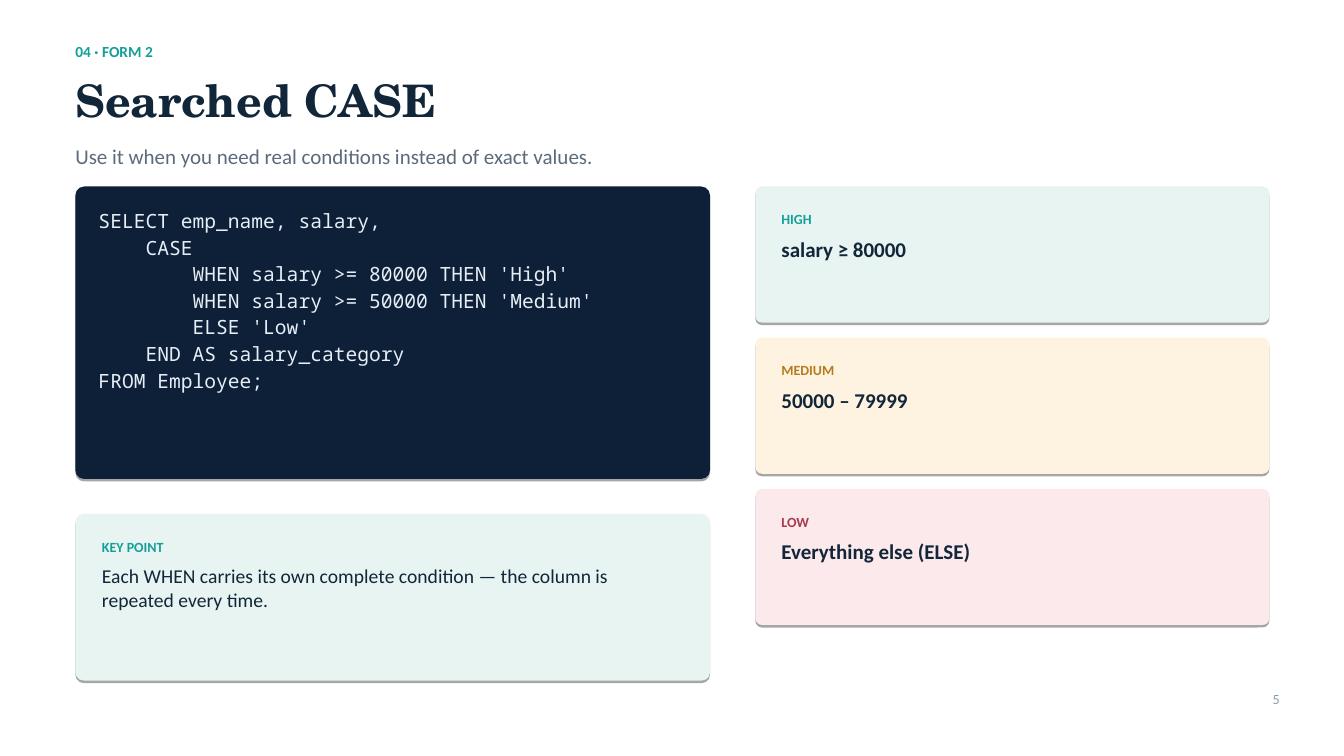
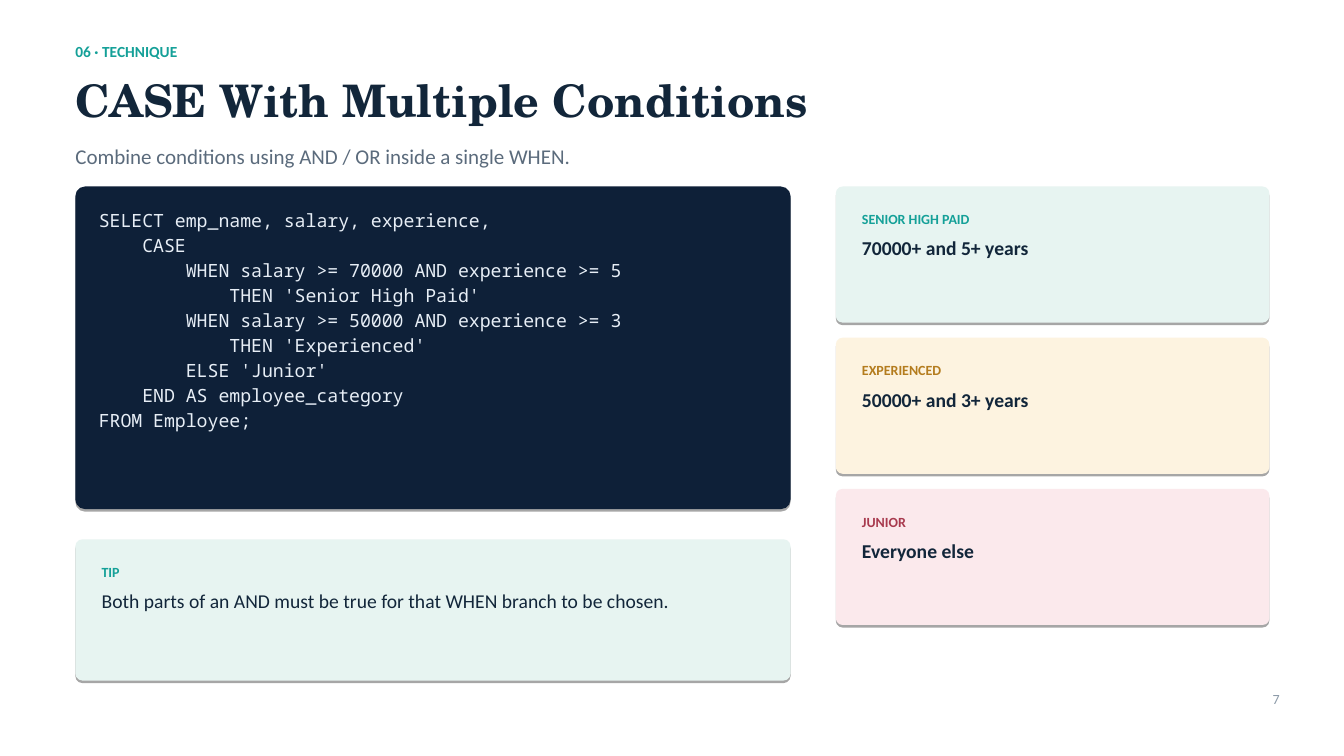
from lxml import etree
from pptx import Presentation
from pptx.dml.color import RGBColor
from pptx.enum import shapes, text
from pptx.oxml import ns
from pptx.util import Cm, Pt

WHITE = RGBColor(0xFF, 0xFF, 0xFF)
INK = RGBColor(0x12, 0x26, 0x3A)
SLATE = RGBColor(0x5B, 0x6B, 0x7C)
GREY = RGBColor(0x8C, 0x9A, 0xA8)
NAVY = RGBColor(0x0E, 0x20, 0x38)
CODE_TEXT = RGBColor(0xE7, 0xEE, 0xF6)
TEAL = RGBColor(0x14, 0xA0, 0x98)
AMBER = RGBColor(0xB4, 0x7C, 0x1E)
ROSE = RGBColor(0xA8, 0x3A, 0x4E)
PALE_TEAL = RGBColor(0xE7, 0xF4, 0xF1)
PALE_AMBER = RGBColor(0xFD, 0xF3, 0xE0)
PALE_ROSE = RGBColor(0xFB, 0xE9, 0xEC)

SLIDES = [
    {
        "section": "04 · FORM 2",
        "title": "Searched CASE",
        "subtitle": "Use it when you need real conditions instead of exact values.",
        "code": """SELECT emp_name, salary,
    CASE
        WHEN salary >= 80000 THEN 'High'
        WHEN salary >= 50000 THEN 'Medium'
        ELSE 'Low'
    END AS salary_category
FROM Employee;""",
        "code_size": 14,
        "code_width": 16.0,
        "code_height": 7.37,
        "note": ("KEY POINT", "Each WHEN carries its own complete condition — "
                              "the column is repeated every time."),
        "note_top": 12.95,
        "results": [("HIGH", "salary ≥ 80000"), ("MEDIUM", "50000 – 79999"),
                    ("LOW", "Everything else (ELSE)")],
        "result_size": 15,
        "number": "5",
    },
    {
        "section": "06 · TECHNIQUE",
        "title": "CASE With Multiple Conditions",
        "subtitle": "Combine conditions using AND / OR inside a single WHEN.",
        "code": """SELECT emp_name, salary, experience,
    CASE
        WHEN salary >= 70000 AND experience >= 5
            THEN 'Senior High Paid'
        WHEN salary >= 50000 AND experience >= 3
            THEN 'Experienced'
        ELSE 'Junior'
    END AS employee_category
FROM Employee;""",
        "code_size": 13,
        "code_width": 18.03,
        "code_height": 8.13,
        "note": ("TIP", "Both parts of an AND must be true for that WHEN branch "
                        "to be chosen."),
        "note_top": 13.59,
        "results": [("SENIOR HIGH PAID", "70000+ and 5+ years"),
                    ("EXPERIENCED", "50000+ and 3+ years"),
                    ("JUNIOR", "Everyone else")],
        "result_size": 14,
        "number": "7",
    },
]

# Lengths in centimetres
LEFT, RIGHT, BODY_TOP, BODY_BOTTOM = 1.9, 32.0, 4.7, 17.15
COLUMN_GAP = 1.14
RESULT_HEIGHT, RESULT_GAP = 3.43, 0.38
RESULT_COLOURS = [(PALE_TEAL, TEAL), (PALE_AMBER, AMBER), (PALE_ROSE, ROSE)]
CARD_MARGINS = {"left": 0.61, "top": 0.56, "right": 1.0, "bottom": 0.3}
CODE_MARGINS = {"left": 0.52, "top": 0.5, "right": 0.5, "bottom": 0.3}
NO_MARGINS = dict.fromkeys(("left", "top", "right", "bottom"), 0)

HEADINGS = {
    "section": ((LEFT, 1.07, 30.23, 0.46),
                {"name": "Calibri", "size": Pt(11), "bold": True}, TEAL),
    "title": ((LEFT, 1.83, 30.23, 1.35),
              {"name": "TeX Gyre Schola", "size": Pt(32), "bold": True}, INK),
    "subtitle": ((LEFT, 3.61, 27.94, 0.64),
                 {"name": "Calibri", "size": Pt(15)}, SLATE),
    "number": ((30.99, 17.4, 1.27, 0.43),
               {"name": "Calibri", "size": Pt(10)}, GREY),
}


def write(shape, lines, margins, space_after=0, align=text.PP_ALIGN.LEFT):
    """Fill a shape with lines, each a (wording, font values, colour) tuple."""
    frame = shape.text_frame
    frame.word_wrap = True
    frame.vertical_anchor = text.MSO_ANCHOR.TOP
    for side, margin in margins.items():
        setattr(frame, f"margin_{side}", Cm(margin))
    for index, (wording, font, colour) in enumerate(lines):
        paragraph = frame.add_paragraph() if index else frame.paragraphs[0]
        paragraph.alignment = align
        paragraph.space_after = Pt(space_after)
        run = paragraph.add_run()
        run.text = wording
        for name, value in font.items():
            setattr(run.font, name, value)
        run.font.color.rgb = colour


def add_panel(slide, box, fill, rounding):
    """Add a rounded panel with a thin, sharp shadow below it."""
    panel = slide.shapes.add_shape(
        shapes.MSO_SHAPE.ROUNDED_RECTANGLE, *map(Cm, box))
    panel.adjustments[0] = rounding
    panel.fill.solid()
    panel.fill.fore_color.rgb = fill
    panel.line.fill.background()
    panel.shadow.inherit = False
    effects = panel.element.spPr.find(ns.qn("a:effectLst"))
    shadow = etree.SubElement(
        effects, ns.qn("a:outerShdw"), blurRad="0", dist=str(Pt(1.8)),
        dir="5400000", algn="t", rotWithShape="0")
    colour = etree.SubElement(shadow, ns.qn("a:srgbClr"), val="000000")
    etree.SubElement(colour, ns.qn("a:alpha"), val="35000")
    return panel


def add_card(slide, box, content, colours, size, bold):
    fill, accent = colours
    label, body = content
    lines = [
        (label, {"name": "Calibri", "size": Pt(10), "bold": True}, accent),
        (body, {"name": "Calibri", "size": Pt(size), "bold": bold}, INK),
    ]
    write(add_panel(slide, box, fill, 0.05), lines, CARD_MARGINS, 6.2)


def add_headings(slide, content):
    for key, (box, font, colour) in HEADINGS.items():
        align = text.PP_ALIGN.RIGHT if key == "number" else text.PP_ALIGN.LEFT
        write(slide.shapes.add_textbox(*map(Cm, box)),
              [(content[key], font, colour)], NO_MARGINS, align=align)


def add_code(slide, content):
    box = (LEFT, BODY_TOP, content["code_width"], content["code_height"])
    font = {"name": "Noto Sans Mono", "size": Pt(content["code_size"])}
    lines = [(line, font, CODE_TEXT) for line in content["code"].splitlines()]
    write(add_panel(slide, box, NAVY, 0.03), lines, CODE_MARGINS, 2.2)


def add_results(slide, content):
    left = LEFT + content["code_width"] + COLUMN_GAP
    for row, (result, colours) in enumerate(zip(content["results"], RESULT_COLOURS)):
        top = BODY_TOP + row * (RESULT_HEIGHT + RESULT_GAP)
        add_card(slide, (left, top, RIGHT - left, RESULT_HEIGHT),
                 result, colours, content["result_size"], True)


def add_note(slide, content):
    top = content["note_top"]
    add_card(slide, (LEFT, top, content["code_width"], BODY_BOTTOM - top),
             content["note"], (PALE_TEAL, TEAL), 14, False)


def main():
    presentation = Presentation()
    presentation.slide_width, presentation.slide_height = Cm(33.88), Cm(19.05)
    for content in SLIDES:
        slide = presentation.slides.add_slide(presentation.slide_layouts[6])
        slide.background.fill.solid()
        slide.background.fill.fore_color.rgb = WHITE
        for add_part in (add_headings, add_code, add_results, add_note):
            add_part(slide, content)
    presentation.save("out.pptx")


if __name__ == "__main__":
    main()
